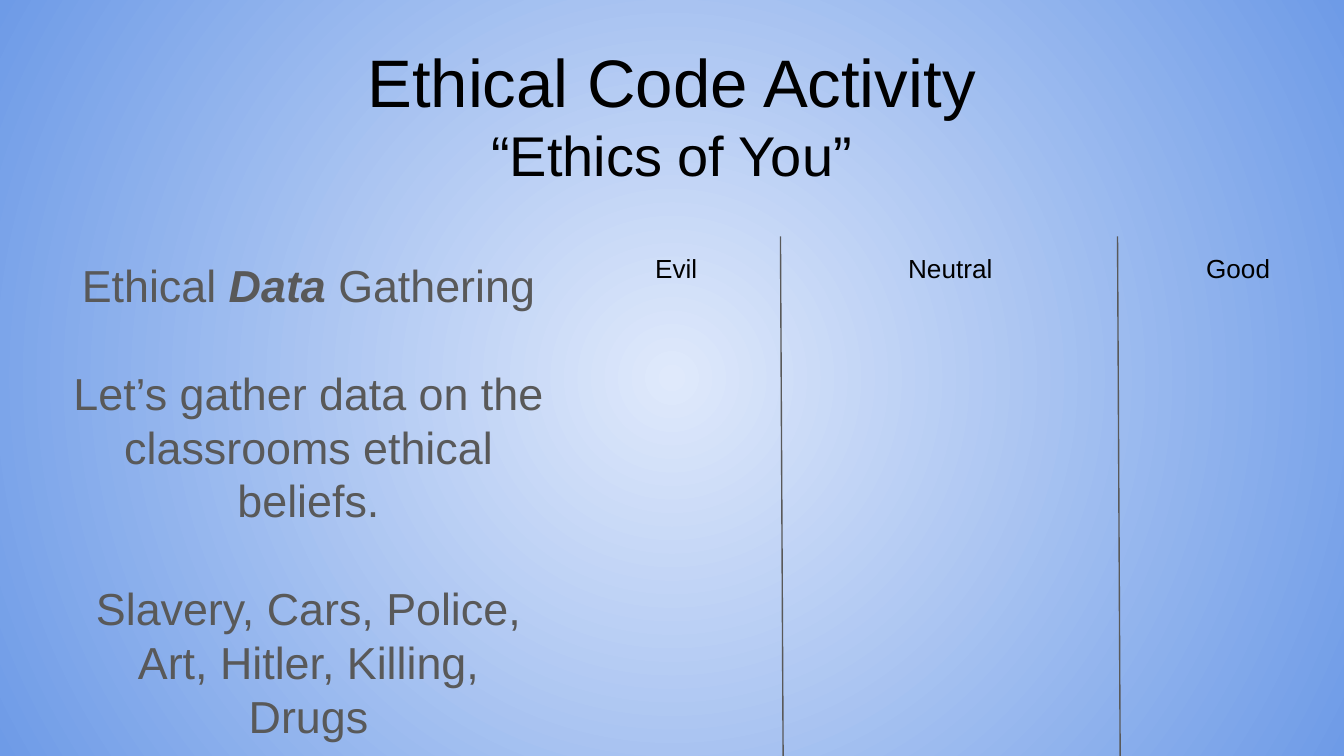
from lxml import etree
from pptx import Presentation
from pptx import util as u
from pptx.dml.color import RGBColor
from pptx.enum import shapes, text
from pptx.oxml import parse_xml
from pptx.oxml.ns import nsdecls, qn

# Content: each paragraph is a list of (words, emphasised) spans
TITLE = [[("Ethical Code Activity", False)], [("“Ethics of You”", False)]]
BODY = [
    [("Ethical ", False), ("Data", True), (" Gathering", False)],
    [("Let’s gather data on the classrooms ethical beliefs.", False)],
    [("Slavery, Cars, Police, Art, Hitler, Killing, Drugs", False)],
]
HEADINGS = [("Evil", 11.23), ("Neutral", 16.41), ("Good", 21.85)]  # left, cm
DIVIDERS = [14.75, 21.12]  # top end, cm


class Theme:
    font = "Arial"
    ink = RGBColor.from_string("000000")
    grey = RGBColor.from_string("595959")
    centre = RGBColor.from_string("DFE9FB")
    edge = RGBColor.from_string("6E9BE7")
    title, subtitle, body, heading = 36, 30, 24, 14
    body_gap = 29  # one body line


def add_text(page, paragraphs, place, sizes, color,
             anchor=text.MSO_ANCHOR.TOP, gap=0):
    box = page.shapes.add_textbox(*(u.Cm(length) for length in place))
    frame = box.text_frame
    frame.word_wrap = True
    frame.vertical_anchor = anchor
    frame.margin_left = frame.margin_right = u.Cm(0.25)
    frame.margin_top = frame.margin_bottom = u.Cm(0.25)
    for index, (spans, size) in enumerate(zip(paragraphs, sizes)):
        para = frame.add_paragraph() if index else frame.paragraphs[0]
        para.alignment = text.PP_ALIGN.CENTER
        para.line_spacing = 1.0
        if index and gap:
            para.space_before = u.Pt(gap)
        for words, emphasised in spans:
            span = para.add_run()
            span.text = words
            span.font.name = Theme.font
            span.font.size = u.Pt(size)
            span.font.color.rgb = color
            if emphasised:
                span.font.bold = span.font.italic = True


def paint_background(page):
    fill = page.background.fill
    fill.gradient()
    for stop, color in zip(fill.gradient_stops, (Theme.centre, Theme.edge)):
        stop.color.rgb = color
    # Turn the linear gradient into a circular one
    gradient = page.element.find(".//" + qn("a:gradFill"))
    circle = parse_xml(
        f'<a:path {nsdecls("a")} path="circle">'
        '<a:fillToRect l="50000" t="50000" r="50000" b="50000"/></a:path>')
    gradient.replace(gradient.find(qn("a:lin")), circle)


def add_divider(page, left, bottom):
    line = page.shapes.add_connector(
        shapes.MSO_CONNECTOR.STRAIGHT,
        u.Cm(left), u.Cm(4.47), u.Cm(left + 0.05), bottom)
    line.line.color.rgb = Theme.grey
    line.line.width = u.Pt(0.75)
    etree.SubElement(line.element.spPr, qn("a:effectLst"))


def main():
    deck = Presentation()
    deck.slide_width, deck.slide_height = u.Cm(25.4), u.Cm(14.29)
    page = deck.slides.add_slide(deck.slide_layouts[6])
    paint_background(page)

    # Title and instructions
    add_text(page, TITLE, (0.86, 0.47, 23.67, 3.33),
             (Theme.title, Theme.subtitle), Theme.ink, text.MSO_ANCHOR.BOTTOM)
    add_text(page, BODY, (1.12, 4.62, 9.42, 9.53),
             [Theme.body] * len(BODY), Theme.grey, gap=Theme.body_gap)

    # Three-column sorting chart
    for left in DIVIDERS:
        add_divider(page, left, deck.slide_height)
    for words, left in HEADINGS:
        add_text(page, [[(words, False)]], (left, 4.52, 3.1, 0.81),
                 [Theme.heading], Theme.ink)

    deck.save("out.pptx")


if __name__ == "__main__":
    main()
